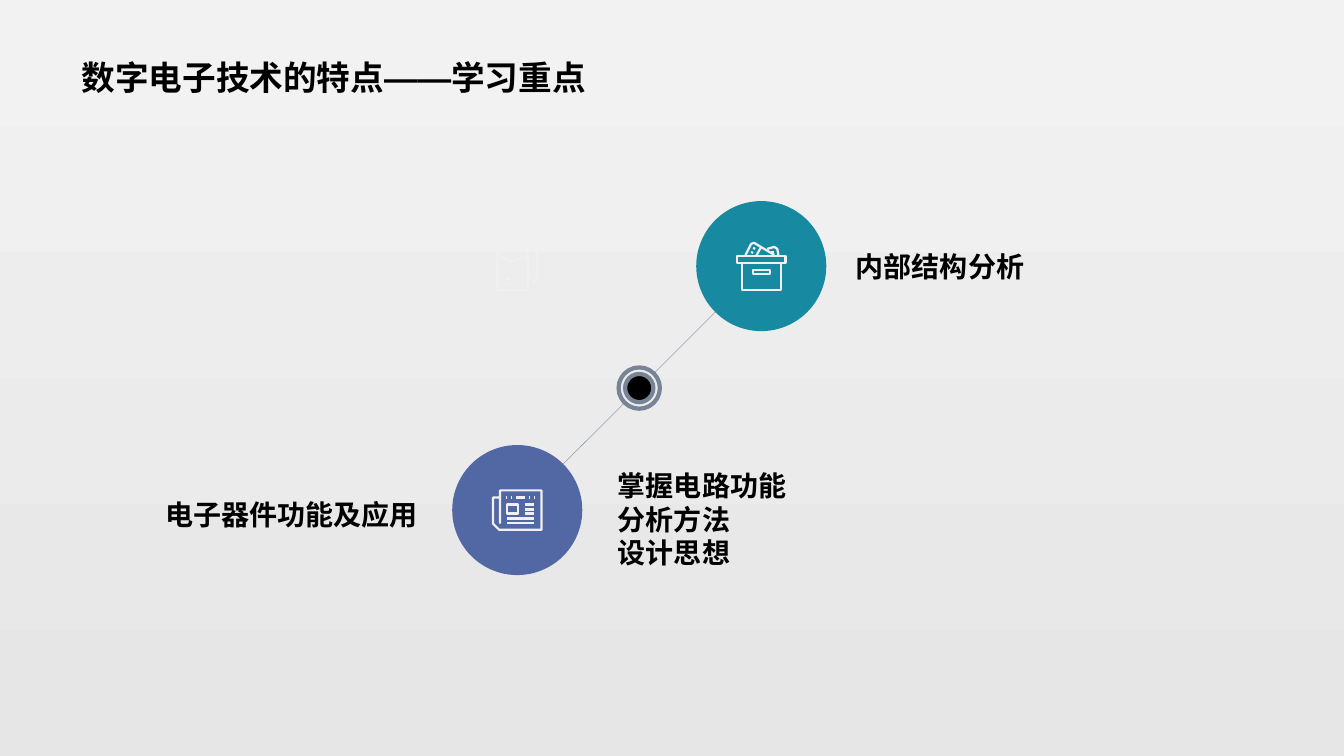
import pptx
import pptx.util
import pptx.dml.color
import pptx.enum.shapes
import pptx.enum.text
import lxml.etree

RGB = pptx.dml.color.RGBColor
BLACK = RGB(0x00, 0x00, 0x00)
TEAL = RGB(0x17, 0x8A, 0xA1)
BLUE = RGB(0x52, 0x68, 0xA5)
GREY = RGB(0x77, 0x84, 0x95)
PALE = RGB(0xF0, 0xF0, 0xF0)
SKY = RGB(0xF2, 0xF2, 0xF2)
GROUND = RGB(0xE7, 0xE6, 0xE6)

COLS, ROWS = 1333, 750
CELL = pptx.util.Inches(0.01)
STEP = 121
FACE = "Arial"


def frame(left, top, right, low):
    """Give the corners of a closed rectangle."""
    return [(left, top), (right, top), (right, low), (left, low), (left, top)]


def dash(left, right, row):
    """Give the ends of a level stroke."""
    return [(left, row), (right, row)]


CRATE = [
    frame(1, 15, 49, 22), frame(17, 29, 34, 33),
    [(6, 22), (6, 49), (45, 49), (45, 22)],
    [(9, 15), (15, 3), (18, 2), (38, 14)],
    [(25, 6), (20, 15)],
    [(31, 8), (38, 6), (41, 8), (42, 14)],
    [(17, 7), (19, 8)], [(15, 11), (17, 12)], [(35, 11), (38, 11)],
]
FOLDER = [
    frame(1, 10, 31, 49),
    [(2, 15), (14, 20), (18, 20), (30, 15)],
    [(11, 6), (11, 3), (13, 1), (38, 1), (40, 3), (40, 38), (38, 40), (35, 40)],
    dash(8, 13, 38), dash(8, 11, 43),
]
PAPER = [
    [(8, 34), (8, 1), (49, 1), (49, 40), (7, 40), (1, 34), (1, 8), (7, 8)],
    frame(15, 15, 26, 24), dash(24, 33, 8),
    *[dash(col, col + 1, 8) for col in (14, 19, 37, 42)],
    *[dash(33, 42, row) for row in (15, 20, 24)],
    *[dash(15, 42, row) for row in (29, 33)],
]


def apply(part, style):
    """Set each attribute named in a style."""
    for name, value in style.items():
        setattr(part, name, value)


def letter(block, size):
    """Format all paragraphs of a text frame."""
    for para in block.paragraphs:
        para.alignment = pptx.enum.text.PP_ALIGN.LEFT
        for run in para.runs:
            apply(run.font, {"size": pptx.util.Pt(size), "bold": True, "name": FACE})
            run.font.color.rgb = BLACK
            east = lxml.etree.SubElement(run.font._element, pptx.oxml.ns.qn("a:ea"))
            east.set("typeface", FACE)


def place(part, box):
    """Move a shape to a box of grid cells."""
    names = ("left", "top", "width", "height")
    apply(part, {name: cells * CELL for name, cells in zip(names, box)})


def head(slide, box, text):
    """Fill the title placeholder."""
    title = slide.shapes.title
    place(title, box)
    block = title.text_frame
    block.text = text
    apply(block, {
        "word_wrap": True,
        "vertical_anchor": pptx.enum.text.MSO_ANCHOR.MIDDLE,
        "margin_bottom": 48 * CELL,
    })
    block.paragraphs[0].line_spacing = 0.9
    letter(block, 24)


def label(slide, box, text):
    """Add a bold label."""
    note = slide.shapes.add_textbox(*[cells * CELL for cells in box])
    note.text_frame.word_wrap = True
    note.text_frame.text = text
    letter(note.text_frame, 20)


def disc(slide, mid, size, fill=None, line=None):
    """Add a circle around a midpoint."""
    box = (mid[0] - size / 2, mid[1] - size / 2, size, size)
    oval = slide.shapes.add_shape(
        pptx.enum.shapes.MSO_SHAPE.OVAL, *[round(cells * CELL) for cells in box])
    oval.shadow.inherit = False
    if fill is None:
        oval.fill.background()
    else:
        oval.fill.solid()
        oval.fill.fore_color.rgb = fill
    if line is None:
        oval.line.fill.background()
    else:
        oval.line.color.rgb = line
        oval.line.width = pptx.util.Pt(3)


def icon(slide, mid, size, paths):
    """Draw an icon of strokes around a midpoint."""
    pen = slide.shapes.build_freeform(*paths[0][0], scale=CELL)
    for points in paths:
        pen.move_to(*points[0])
        pen.add_line_segments(points[1:], close=points[0] == points[-1])
    left, top = [round((at - span / 2) * CELL) for at, span in zip(mid, size)]
    mark = pen.convert_to_shape(left, top)
    mark.shadow.inherit = False
    mark.fill.background()
    mark.line.color.rgb = PALE
    mark.line.width = pptx.util.Pt(1.6)


def spoke(slide, mid, way):
    """Add a thin line from the hub towards a node."""
    ends = [at + sign * reach for reach in (14.5, 75.5)
            for at, sign in zip(mid, (way, -way))]
    link = slide.shapes.add_connector(
        pptx.enum.shapes.MSO_CONNECTOR.STRAIGHT, *[round(end * CELL) for end in ends])
    link.line.color.rgb = GREY
    link.line.width = pptx.util.Pt(0.25)
    lxml.etree.SubElement(link._element.spPr, pptx.oxml.ns.qn("a:effectLst"))


def chain(slide, mid):
    """Draw the hub, its two nodes and the icons."""
    col, row = mid
    high, low = (col + STEP, row - STEP), (col - STEP, row + STEP)
    disc(slide, high, 129, TEAL)
    disc(slide, low, 129, BLUE)
    disc(slide, mid, 41, line=GREY)
    for way in (1, -1):
        spoke(slide, mid, way)
    icon(slide, high, (50, 50), CRATE)
    icon(slide, (col - STEP, row - STEP), (41, 50), FOLDER)
    icon(slide, low, (50, 41), PAPER)
    disc(slide, mid, 28, BLACK, GREY)


def paint(slide):
    """Give the slide its vertical gradient."""
    fill = slide.background.fill
    fill.gradient()
    fill.gradient_angle = 270
    for stop, color, share in zip(fill.gradient_stops, (SKY, GROUND), (0, 1)):
        stop.color.rgb = color
        stop.position = share


def main():
    """Build and save the slide."""
    deck = pptx.Presentation()
    apply(deck, {"slide_width": COLS * CELL, "slide_height": ROWS * CELL})
    slide = deck.slides.add_slide(deck.slide_layouts[5])
    paint(slide)
    head(slide, (71, 28, 1150, 145), "数字电子技术的特点——学习重点")
    chain(slide, (634, 385))
    label(slide, (839, 243, 247, 36), "内部结构分析")
    label(slide, (154, 489, 280, 36), "电子器件功能及应用")
    label(slide, (603, 460, 195, 110), "掌握电路功能\n分析方法\n设计思想")
    deck.save("out.pptx")


if __name__ == "__main__":
    main()
